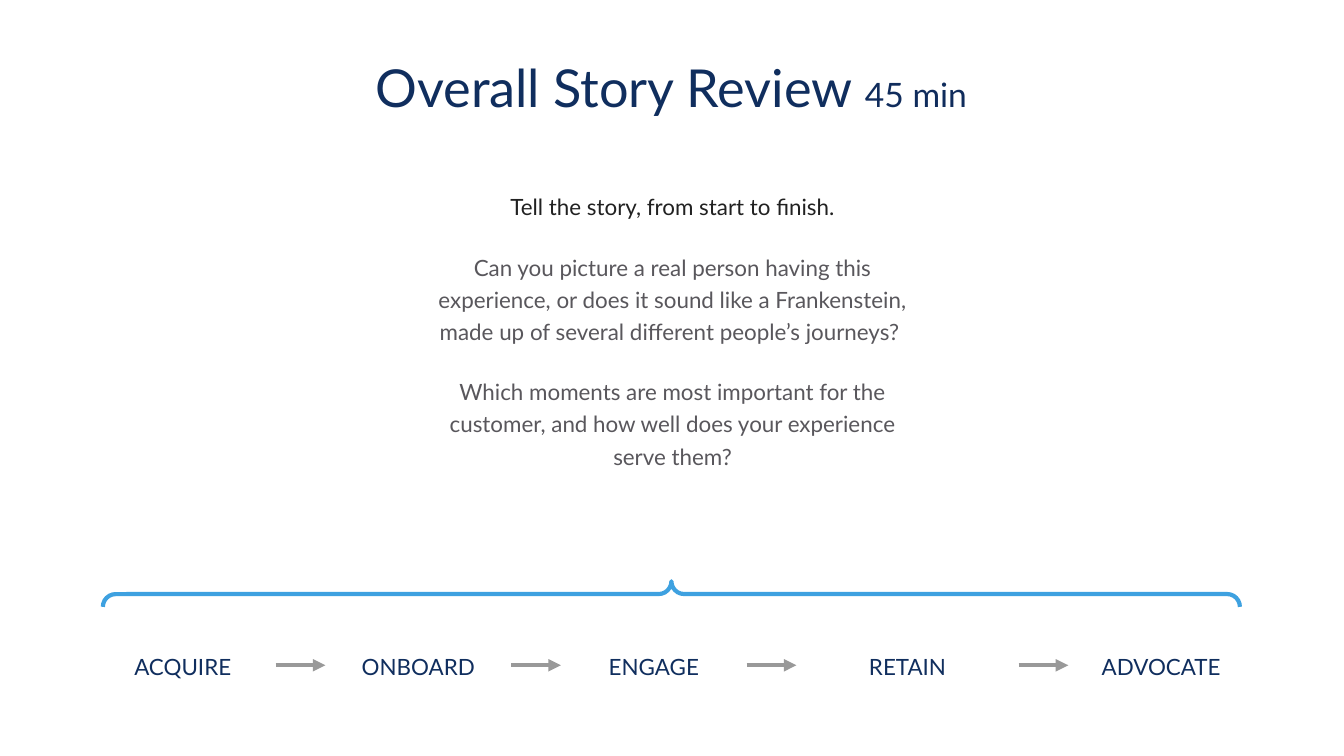
import pptx
import pptx.util
import pptx.dml.color
import pptx.enum.shapes
import pptx.enum.text
import pptx.oxml.ns
from lxml import etree

Inches, Pt = pptx.util.Inches, pptx.util.Pt
qn = pptx.oxml.ns.qn

# Content
TITLE = [("Overall Story Review ", 28, "navy"), ("45 min", 18, "title_note")]
BODY = [  # text, colour, space before, space after
    ("Tell the story, from start to finish.", "black", 0, 0),
    ("Can you picture a real person having this experience, or does it sound like "
     "a Frankenstein, made up of several different people’s journeys? ", "grey", 15, 0),
    ("Which moments are most important for the customer, and how well does your "
     "experience serve them?", "grey", 15, 15),
]
STAGES = [("ACQUIRE", 1.02), ("ONBOARD", 1.02), ("ENGAGE", 1.02),
          ("RETAIN", 1.29), ("ADVOCATE", 1.02)]  # label, width

# Style and layout
COLORS = {"navy": "102E5E", "title_note": "102C5C", "black": "212121",
          "grey": "59575C", "arrow": "999999", "brace": "3EA1E0"}
FONT = "Lato"
ROW_LEFT, ROW_RIGHT, ROW_TOP, ROW_H = 0.85, 9.15, 4.79, 0.31
ARROW_Y, ARROW_LEN = 4.95, 0.37


def rgb(name):
    return pptx.dml.color.RGBColor.from_string(COLORS[name])


def set_font(font, size, color):
    font.name = FONT
    font.size = Pt(size)
    font.color.rgb = rgb(color)


def place(sp, left, top, width, height):
    sp.left, sp.top = Inches(left), Inches(top)
    sp.width, sp.height = Inches(width), Inches(height)


def set_frame(tf, inset):
    tf.word_wrap = True
    tf.auto_size = pptx.enum.text.MSO_AUTO_SIZE.NONE
    tf.vertical_anchor = pptx.enum.text.MSO_ANCHOR.TOP
    tf.margin_left = tf.margin_right = Inches(inset)
    tf.margin_top = tf.margin_bottom = Inches(inset)


def set_paragraph(p, spacing, before=0, after=0):
    p.alignment = pptx.enum.text.PP_ALIGN.CENTER
    p.line_spacing = spacing
    p.space_before, p.space_after = Pt(before), Pt(after)


def add_stage(s, text, left, width):
    sp = s.shapes.add_textbox(Inches(left), Inches(ROW_TOP), Inches(width), Inches(ROW_H))
    set_frame(sp.text_frame, 0.04)
    p = sp.text_frame.paragraphs[0]
    p.text = text
    set_paragraph(p, 1.15)
    set_font(p.font, 12, "navy")


def add_arrow(s, center):
    half = ARROW_LEN / 2
    line = s.shapes.add_connector(
        pptx.enum.shapes.MSO_CONNECTOR.STRAIGHT,
        Inches(center - half), Inches(ARROW_Y), Inches(center + half), Inches(ARROW_Y))
    line.line.color.rgb = rgb("arrow")
    line.line.width = Pt(2.25)
    ln = line._element.spPr.find(qn("a:ln"))
    etree.SubElement(ln, qn("a:tailEnd"), type="triangle")
    etree.SubElement(line._element.spPr, qn("a:effectLst"))


prs = pptx.Presentation()
prs.slide_width = Inches(10)
prs.slide_height = prs.slide_width * 9 // 16  # widescreen
s = prs.slides.add_slide(prs.slide_layouts[1])

# Title
title = s.shapes.title
place(title, 0.49, 0.44, 9.01, 0.59)
set_frame(title.text_frame, 0.02)
p = title.text_frame.paragraphs[0]
set_paragraph(p, 0.9)
for text, size, color in TITLE:
    r = p.add_run()
    r.text = text
    set_font(r.font, size, color)

# Body
body = s.placeholders[1]
place(body, 3.15, 1.38, 3.71, 2.6)
tf = body.text_frame
set_frame(tf, 0.02)
for i, (text, color, before, after) in enumerate(BODY):
    p = tf.add_paragraph() if i else tf.paragraphs[0]
    p.text = text
    set_paragraph(p, 1.2, before, after)
    set_font(p.font, 12, color)
    pPr = p._p.get_or_add_pPr()
    pPr.set("marL", "0")
    pPr.set("indent", "0")
    bullet = etree.Element(qn("a:buNone"))
    pPr.find(qn("a:defRPr")).addprevious(bullet)

# Brace over the stages
brace = s.shapes.add_shape(pptx.enum.shapes.MSO_SHAPE.LEFT_BRACE,
                           Inches(4.9), Inches(0.19), Inches(0.19), Inches(8.46))
brace.rotation = 90
brace.adjustments[0] = 0.5
brace.shadow.inherit = False
brace.fill.background()
brace.line.color.rgb = rgb("brace")
brace.line.width = Pt(2.25)

# Stages with equal gaps, an arrow centred in each gap
gap = (ROW_RIGHT - ROW_LEFT - sum(w for _, w in STAGES)) / (len(STAGES) - 1)
left = ROW_LEFT
for i, (text, width) in enumerate(STAGES):
    if i:
        add_arrow(s, left - gap / 2)
    add_stage(s, text, left, width)
    left += width + gap

prs.save("out.pptx")
